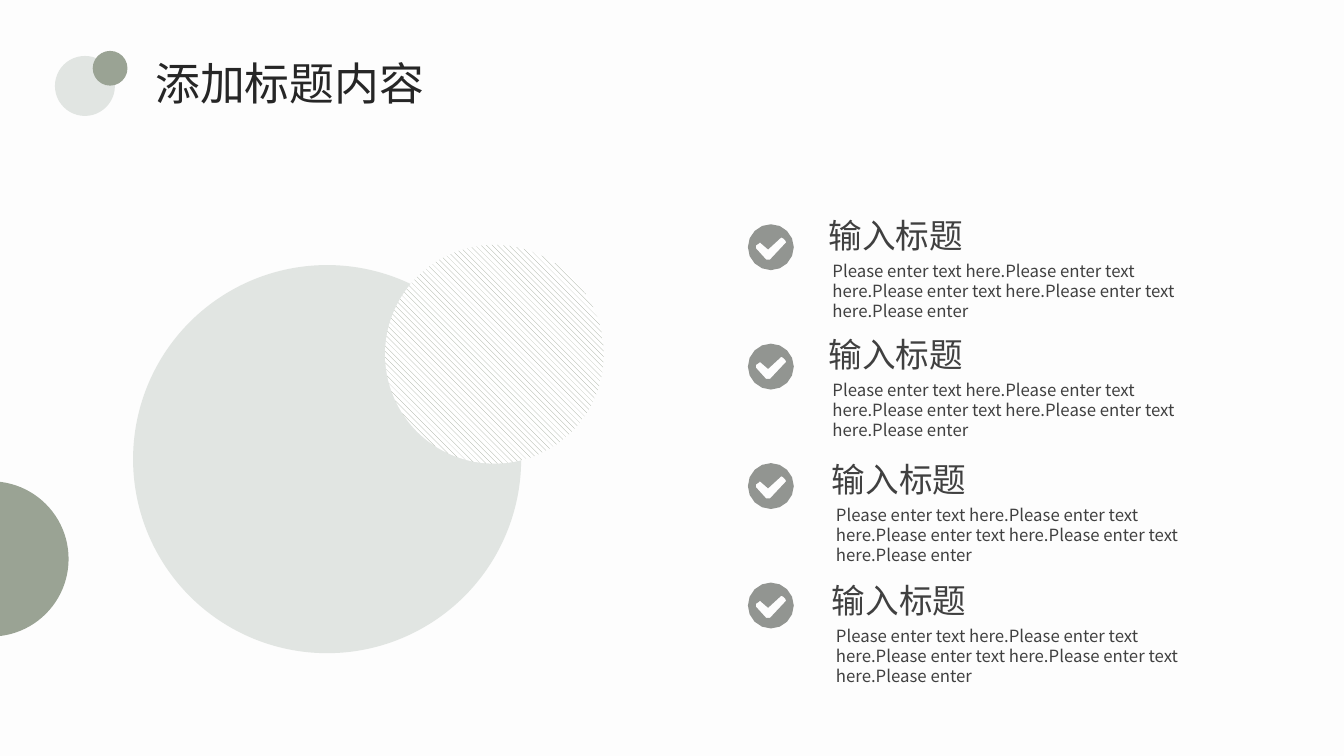
import math
from dataclasses import dataclass

import lxml.etree
import pptx
import pptx.dml.color
import pptx.dml.fill
import pptx.enum.dml
import pptx.enum.shapes
import pptx.enum.text
import pptx.oxml.ns
import pptx.shapes.autoshape
import pptx.shapes.shapetree
import pptx.util

FONT = "Noto Sans CJK SC"
PALE, SAGE, GREY = "E1E5E2", "9AA394", "929591"
DARK, INK, PAPER, WHITE = "262626", "404040", "FDFDFD", "FFFFFF"
HEAD = "输入标题"
BODY = "Please enter text here." * 4 + "Please enter"

# Tick outline, in grid cells from the icon's corner
TICK = [(3.7, 1.6), (3.5, 1.4), (3.3, 1.3), (3.2, 1.4), (2, 2.5),
        (1.3, 1.9), (1.2, 1.8), (1.1, 1.9), (0.8, 2.1), (0.8, 2.4),
        (1.8, 3.5), (2, 3.5), (2.2, 3.5), (3.7, 1.9), (3.8, 1.8)]
ICON_COL, ICON_ROW, ICON_STEP, ICON_SIZE = 74.2, 22.25, 11.85, 4.55
RIM_STEPS = 16


@dataclass
class Disc:
    col: float
    row: float
    size: float
    color: str
    hatch: bool = False


@dataclass
class Item:
    col: float
    row: float


BADGE = [Disc(5.45, 5.55, 5.95, PALE), Disc(9.2, 5.05, 3.45, SAGE)]
DISCS = [Disc(13.2, 26.3, 38.5, PALE),
         Disc(38.2, 24.3, 21.7, SAGE, True),
         Disc(-8.6, 47.75, 15.4, SAGE)]
ITEMS = [Item(81.2, 20.8), Item(81.2, 32.6),
         Item(81.55, 45), Item(81.55, 57.05)]


def cell(count: float) -> pptx.util.Length:
    """Grid cells are a tenth of an inch, both ways."""
    return pptx.util.Inches(count / 10)


def tint(code: str) -> pptx.dml.color.RGBColor:
    return pptx.dml.color.RGBColor.from_string(code)


def paint(fill: pptx.dml.fill.FillFormat, code: str) -> None:
    fill.solid()
    fill.fore_color.rgb = tint(code)


def write(shape: pptx.shapes.autoshape.Shape, text: str, size: int,
          code: str, wrap: bool = True) -> None:
    frame = shape.text_frame
    frame.text = text
    frame.word_wrap = wrap
    frame.auto_size = pptx.enum.text.MSO_AUTO_SIZE.SHAPE_TO_FIT_TEXT
    frame.vertical_anchor = pptx.enum.text.MSO_ANCHOR.TOP
    para = frame.paragraphs[0]
    para.alignment = pptx.enum.text.PP_ALIGN.LEFT
    font = para.font
    font.size = pptx.util.Pt(size)
    font.color.rgb = tint(code)
    font.name = FONT
    # East Asian typeface
    for props in shape.element.xpath(".//a:defRPr"):
        east = lxml.etree.SubElement(props, pptx.oxml.ns.qn("a:ea"))
        east.set("typeface", FONT)


def draw_disc(shapes: pptx.shapes.shapetree.SlideShapes
              | pptx.shapes.shapetree.GroupShapes, disc: Disc) -> None:
    shape = shapes.add_shape(
        pptx.enum.shapes.MSO_SHAPE.OVAL, cell(disc.col), cell(disc.row),
        cell(disc.size), cell(disc.size))
    shape.shadow.inherit = False
    shape.line.fill.background()
    if disc.hatch:
        fill = shape.fill
        fill.patterned()
        fill.pattern = pptx.enum.dml.MSO_PATTERN.WIDE_DOWNWARD_DIAGONAL
        fill.fore_color.rgb = tint(disc.color)
        fill.back_color.rgb = tint(WHITE)
    else:
        paint(shape.fill, disc.color)


def draw_icon(shapes: pptx.shapes.shapetree.SlideShapes, row: float) -> None:
    half = ICON_SIZE / 2
    turns = [math.tau * step / RIM_STEPS for step in range(RIM_STEPS)]
    ring = [(half + half * math.cos(turn), half + half * math.sin(turn))
            for turn in turns]
    rim, hole = [[(cell(ICON_COL + x), cell(row + y)) for x, y in points]
                 for points in (ring, TICK)]
    path = shapes.build_freeform(*rim[0])
    path.add_line_segments(rim[1:])
    path.move_to(*hole[0])
    path.add_line_segments(hole[1:])
    shape = path.convert_to_shape()
    shape.shadow.inherit = False
    shape.line.fill.background()
    paint(shape.fill, GREY)


def draw_item(shapes: pptx.shapes.shapetree.SlideShapes, item: Item) -> None:
    body = shapes.add_textbox(cell(item.col + 0.4), cell(item.row + 4.55),
                              cell(41.1), cell(7.1))
    write(body, BODY, 12, INK)
    head = shapes.add_textbox(cell(item.col), cell(item.row),
                              cell(46.2), cell(5))
    write(head, HEAD, 24, INK)


def main() -> None:
    deck = pptx.Presentation()
    deck.slide_width, deck.slide_height = cell(133.33), cell(75)
    slide = deck.slides.add_slide(deck.slide_layouts.get_by_name("Title Only"))
    paint(slide.background.fill, PAPER)
    shapes = slide.shapes

    # Title and its badge
    title = shapes.title
    title.left, title.top = cell(14.4), cell(5.05)
    title.width, title.height = cell(28.9), cell(6.4)
    write(title, "添加标题内容", 32, DARK, wrap=False)
    badge = shapes.add_group_shape()
    for disc in BADGE:
        draw_disc(badge.shapes, disc)

    # Checklist
    for index in range(len(ITEMS)):
        draw_icon(shapes, ICON_ROW + index * ICON_STEP)
    for item in ITEMS:
        draw_item(shapes, item)

    # Large discs
    for disc in DISCS:
        draw_disc(shapes, disc)

    deck.save("out.pptx")


if __name__ == "__main__":
    main()
